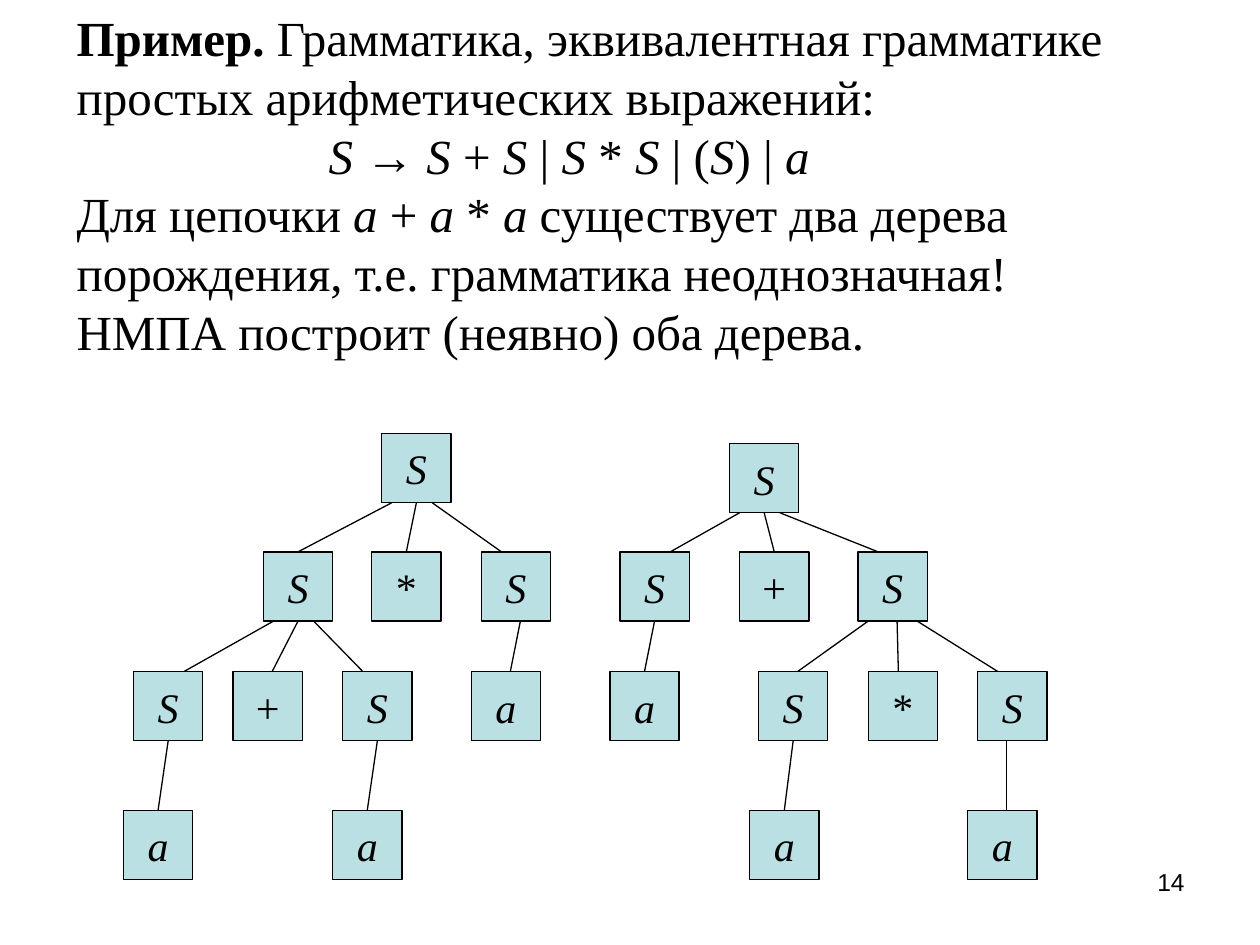
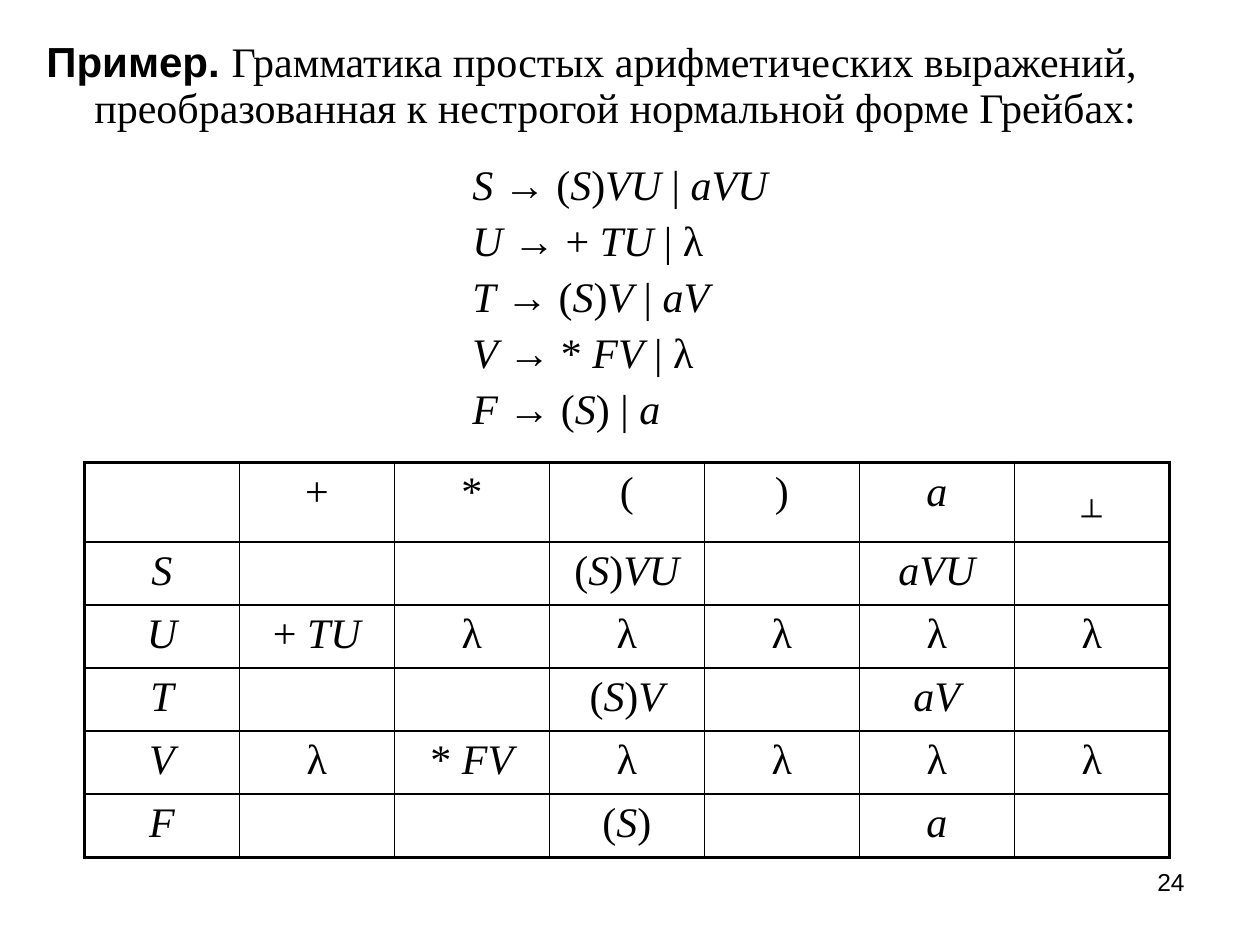
from dataclasses import dataclass
from itertools import groupby

from lxml.etree import SubElement
from pptx import Presentation
from pptx.dml.color import RGBColor
from pptx.enum.shapes import MSO_CONNECTOR, MSO_SHAPE
from pptx.enum.text import MSO_ANCHOR, PP_ALIGN
from pptx.oxml.ns import qn
from pptx.util import Inches, Pt


@dataclass(frozen=True)
class Theme:
    ink: RGBColor = RGBColor(0x00, 0x00, 0x00)
    node: RGBColor = RGBColor(0xBB, 0xE0, 0xE3)
    serif: str = "Times New Roman"
    sans: str = "Arial"
    title: int = 28
    body: int = 24
    number: int = 14
    thin: float = 0.75
    grid: float = 1
    frame: float = 2.25


THEME = Theme()
LEAD = "Пример. "

# (text, left margin in inches)
AMBIGUITY = [
    ("Грамматика, эквивалентная грамматике простых арифметических выражений:", 0),
    ("S → S + S | S * S | (S) | a", 2),
    ("Для цепочки a + a * a существует два дерева порождения, "
     "т.е. грамматика неоднозначная!", 0),
    ("НМПА построит (неявно) оба дерева.", 0),
]

NODE_SIZE = 0.55
MIDDLE = NODE_SIZE / 2
LEVEL_TOPS = [4.38, 5.33, 6.43]
# node: (symbol, left, children)
# child: (x where the line leaves the parent, x where it meets the child, node),
# both measured from the left side of the box
PRODUCT_TREE = ("S", 3.03, [
    (0.08, MIDDLE, ("S", 2.09, [
        (0.08, 0.40, ("S", 1.06, [(MIDDLE, MIDDLE, ("a", 0.98, []))])),
        (MIDDLE, 0.31, ("+", 1.85, [])),
        (0.40, 0.16, ("S", 2.72, [(MIDDLE, MIDDLE, ("a", 2.64, []))])),
    ])),
    (MIDDLE, MIDDLE, ("*", 2.95, [])),
    (0.40, 0.16, ("S", 3.82, [(0.31, 0.31, ("a", 3.74, []))])),
])
SUM_TREE = ("S", 5.79, [
    (0.08, 0.40, ("S", 4.92, [(MIDDLE, MIDDLE, ("a", 4.84, []))])),
    (MIDDLE, MIDDLE, ("+", 5.87, [])),
    (0.40, 0.16, ("S", 6.81, [
        (0.08, 0.31, ("S", 6.02, [(MIDDLE, MIDDLE, ("a", 5.95, []))])),
        (0.31, 0.24, ("*", 6.89, [])),
        (0.47, 0.16, ("S", 7.76, [(0.23, 0.31, ("a", 7.68, []))])),
    ])),
])
TREES = [(PRODUCT_TREE, 3.44), (SUM_TREE, 3.52)]

GREIBACH = ("Грамматика простых арифметических выражений, "
            "преобразованная к нестрогой нормальной форме Грейбах:")
RULES = [
    "S → (S)VU | aVU",
    "U → + TU | λ",
    "T → (S)V | aV",
    "V → * FV | λ",
    "F → (S) | a",
]
BOTTOM_MARK = "┴"
PARSE_TABLE = [
    ["", "+", "*", "(", ")", "a", BOTTOM_MARK],
    ["S", "", "", "(S)VU", "", "aVU", ""],
    ["U", "+ TU", "λ", "λ", "λ", "λ", "λ"],
    ["T", "", "", "(S)V", "", "aV", ""],
    ["V", "λ", "* FV", "λ", "λ", "λ", "λ"],
    ["F", "", "", "(S)", "", "a", ""],
]
COLUMN_WIDTH = 1.23
HEADER_HEIGHT, ROW_HEIGHT = 0.57, 0.5


def add_run(paragraph, text, size, font=THEME.serif, bold=False, italic=False):
    run = paragraph.add_run()
    run.text = text
    run.font.name, run.font.size = font, Pt(size)
    run.font.bold, run.font.italic = bold, italic
    run.font.color.rgb = THEME.ink
    return run


def write_grammar(paragraph, text, size):
    """Latin letters are grammar symbols and go in italics, the rest upright."""
    for italic, letters in groupby(text, lambda c: c.isascii() and c.isalpha()):
        add_run(paragraph, "".join(letters), size, italic=italic)


def add_text_box(slide, left, top, width, height):
    text_frame = slide.shapes.add_textbox(
        Inches(left), Inches(top), Inches(width), Inches(height)).text_frame
    text_frame.word_wrap = True
    return text_frame


def next_paragraph(text_frame, index):
    return text_frame.add_paragraph() if index else text_frame.paragraphs[0]


def set_indent(paragraph, left, first=0):
    properties = paragraph._p.get_or_add_pPr()
    properties.set("marL", str(Inches(left)))
    properties.set("indent", str(Inches(first)))


def add_slide(presentation, number):
    slide = presentation.slides.add_slide(presentation.slide_layouts[6])
    paragraph = add_text_box(slide, 7.17, 6.83, 2.33, 0.52).paragraphs[0]
    paragraph.alignment = PP_ALIGN.RIGHT
    add_run(paragraph, str(number), THEME.number, THEME.sans)
    return slide


def add_node(slide, symbol, left, top):
    shape = slide.shapes.add_shape(
        MSO_SHAPE.RECTANGLE, Inches(left), Inches(top),
        Inches(NODE_SIZE), Inches(NODE_SIZE))
    shape.shadow.inherit = False
    shape.fill.solid()
    shape.fill.fore_color.rgb = THEME.node
    shape.line.color.rgb = THEME.ink
    shape.line.width = Pt(THEME.thin)
    text_frame = shape.text_frame
    text_frame.word_wrap = False
    text_frame.vertical_anchor = MSO_ANCHOR.MIDDLE
    paragraph = text_frame.paragraphs[0]
    paragraph.alignment = PP_ALIGN.CENTER
    write_grammar(paragraph, symbol, THEME.body)
    return shape


def add_branch(slide, parent, child, leave, meet):
    connector = slide.shapes.add_connector(
        MSO_CONNECTOR.STRAIGHT,
        parent.left + Inches(leave), parent.top + parent.height,
        child.left + Inches(meet), child.top)
    if leave == MIDDLE:
        connector.begin_connect(parent, 2)
    if meet == MIDDLE:
        connector.end_connect(child, 0)
    connector.line.color.rgb = THEME.ink
    connector.line.width = Pt(THEME.thin)
    SubElement(connector._element.spPr, qn("a:effectLst"))


def add_tree(slide, node, tops):
    symbol, left, children = node
    parent = add_node(slide, symbol, left, tops[0])
    for leave, meet, child_node in children:
        child = add_tree(slide, child_node, tops[1:])
        add_branch(slide, parent, child, leave, meet)
    return parent


def set_borders(cell, widths):
    properties = cell._tc.get_or_add_tcPr()
    for position, (side, width) in enumerate(widths.items()):
        line = SubElement(properties, qn(f"a:{side}"), w=str(Pt(width)))
        properties.insert(position, line)
        fill = SubElement(line, qn("a:solidFill"))
        SubElement(fill, qn("a:srgbClr"), val=str(THEME.ink))


def fill_cell(cell, text):
    paragraph = cell.text_frame.paragraphs[0]
    paragraph.alignment = PP_ALIGN.CENTER
    if text == BOTTOM_MARK:
        run = add_run(paragraph, text, THEME.title, THEME.sans)
        run.font._element.set("baseline", "-25000")
    else:
        write_grammar(paragraph, text, THEME.body)


def add_parse_table(slide):
    row_count, column_count = len(PARSE_TABLE), len(PARSE_TABLE[0])
    height = HEADER_HEIGHT + ROW_HEIGHT * (row_count - 1)
    table = slide.shapes.add_table(
        row_count, column_count, Inches(0.67), Inches(3.67),
        Inches(COLUMN_WIDTH * column_count), Inches(height)).table
    table.first_row = table.horz_banding = False
    for column in table.columns:
        column.width = Inches(COLUMN_WIDTH)
    for i, texts in enumerate(PARSE_TABLE):
        table.rows[i].height = Inches(ROW_HEIGHT if i else HEADER_HEIGHT)
        for j, text in enumerate(texts):
            cell = table.cell(i, j)
            cell.fill.background()
            fill_cell(cell, text)
            on_frame = {"lnL": j == 0, "lnR": j == column_count - 1,
                        "lnT": i == 0, "lnB": i == row_count - 1}
            set_borders(cell, {side: THEME.frame if outer else THEME.grid
                               for side, outer in on_frame.items()})


def build_ambiguity_slide(presentation):
    slide = add_slide(presentation, 14)
    text_frame = add_text_box(slide, 0.51, 0.28, 9, 2.36)
    text_frame.vertical_anchor = MSO_ANCHOR.MIDDLE
    for index, (text, margin) in enumerate(AMBIGUITY):
        paragraph = next_paragraph(text_frame, index)
        set_indent(paragraph, margin)
        if index == 0:
            add_run(paragraph, LEAD, THEME.title, bold=True)
        write_grammar(paragraph, text, THEME.title)
    for tree, root_top in TREES:
        add_tree(slide, tree, [root_top, *LEVEL_TOPS])


def build_greibach_slide(presentation):
    slide = add_slide(presentation, 24)
    text_frame = add_text_box(slide, 0.27, 0.28, 9.29, 3.07)
    for index, text in enumerate([GREIBACH, *RULES]):
        paragraph = next_paragraph(text_frame, index)
        paragraph.line_spacing = 0.9
        if index == 0:
            set_indent(paragraph, 0.38, -0.38)
            add_run(paragraph, LEAD, THEME.body, THEME.sans, bold=True)
        else:
            set_indent(paragraph, 3.38)
            paragraph.space_before = Pt(18.5 if index == 1 else 6)
        write_grammar(paragraph, text, THEME.body)
    add_parse_table(slide)


def main():
    presentation = Presentation()
    presentation.slide_width, presentation.slide_height = Inches(10), Inches(7.5)
    build_ambiguity_slide(presentation)
    build_greibach_slide(presentation)
    presentation.save("out.pptx")


if __name__ == "__main__":
    main()
